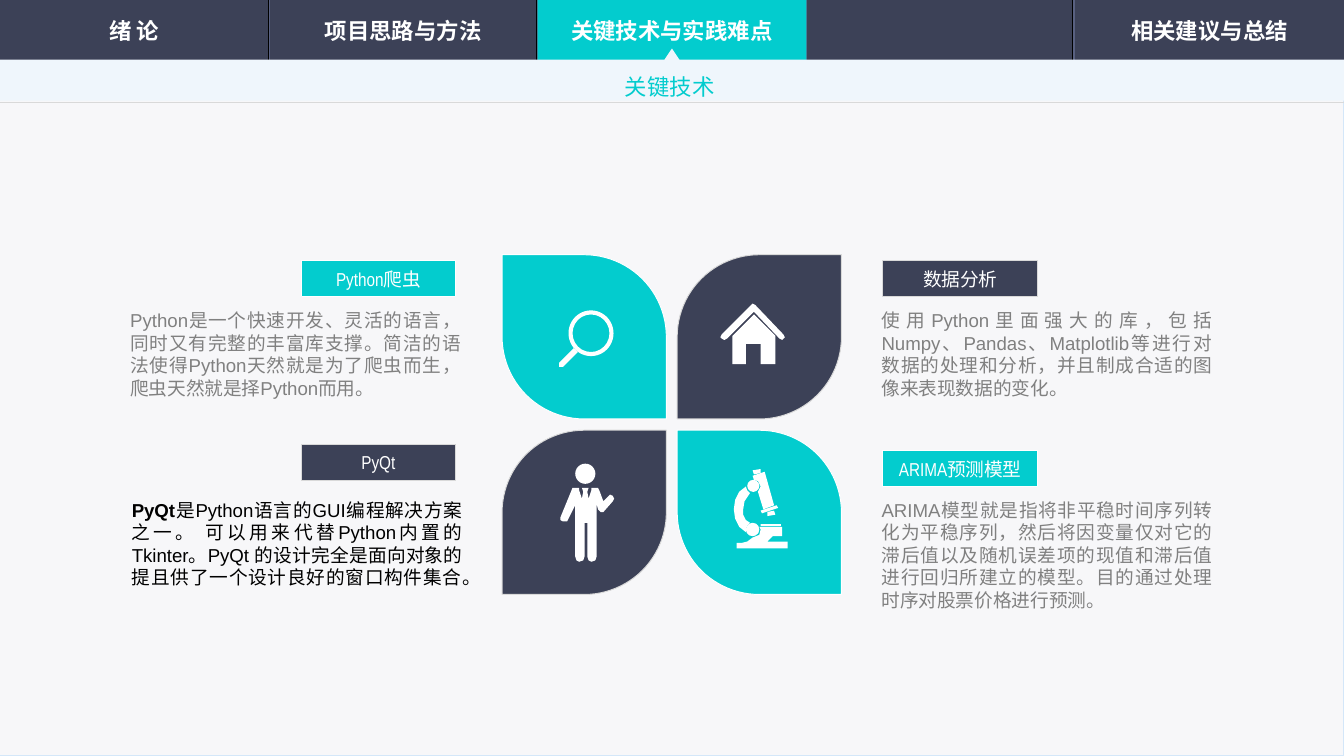
from lxml import etree
from pptx import Presentation
from pptx.dml.color import RGBColor
from pptx.enum.lang import MSO_LANGUAGE_ID
from pptx.enum.shapes import MSO_CONNECTOR, MSO_SHAPE
from pptx.enum.text import MSO_ANCHOR, MSO_AUTO_SIZE, PP_ALIGN
from pptx.oxml.ns import qn
from pptx.util import Pt

RECT, OVAL, RING = MSO_SHAPE.RECTANGLE, MSO_SHAPE.OVAL, MSO_SHAPE.DONUT
PETAL = MSO_SHAPE.ROUND_2_DIAG_RECTANGLE
LEFT, CENTER, JUSTIFY = PP_ALIGN.LEFT, PP_ALIGN.CENTER, PP_ALIGN.JUSTIFY
MIDDLE, TOP = MSO_ANCHOR.MIDDLE, MSO_ANCHOR.TOP
CHINESE = MSO_LANGUAGE_ID.SIMPLIFIED_CHINESE
TEAL, NAVY, WHITE, GREY, BORDER = "03CCCE", "3C4157", "FFFFFF", "808080", "D9D9D9"
CJK = "Noto Sans CJK SC"
ICON_UNIT = 0.72  # points per unit of the icon grid


def paint(shape, fill=None, line=None):
    shape.shadow.inherit = False
    if fill:
        shape.fill.solid()
        shape.fill.fore_color.rgb = RGBColor.from_string(fill)
    else:
        shape.fill.background()
    if line:
        shape.line.color.rgb = RGBColor.from_string(line)
        shape.line.width = Pt(0.5)
    else:
        shape.line.fill.background()


def write(shape, runs, size, color, font, align, anchor=MIDDLE):
    frame = shape.text_frame
    frame.word_wrap = True
    frame.vertical_anchor = anchor
    paragraph = frame.paragraphs[0]
    paragraph.alignment = align
    for text, bold in runs:
        run = paragraph.add_run()
        run.text = text
        run.font.size = Pt(size)
        run.font.bold = bold
        run.font.name = font
        run.font.language_id = CHINESE
        run.font.color.rgb = RGBColor.from_string(color)
        etree.SubElement(run.font._element, qn("a:ea"), typeface=CJK)


prs = Presentation()
prs.slide_width, prs.slide_height = Pt(720), Pt(405)
slide = prs.slides.add_slide(prs.slide_layouts[5])
shapes = slide.shapes

# Navigation bar, page panel and active tab
BAR_HEIGHT, TAB_WIDTH = 32.4, 144
dividers = []
for k in range(1, 5):
    x = 143.6 * k
    dividers += [(x, 0, x, BAR_HEIGHT, "000000", 0.5),
                 (x + 0.9, 0, x + 0.9, BAR_HEIGHT, "596181", 0.75)]
for left, top, width, height, fill, line in [
    (0, 0, 720, BAR_HEIGHT, NAVY, None),
    (0, BAR_HEIGHT, 720, 405 - BAR_HEIGHT, "F7F7F9", "D4E7F9"),
]:
    paint(shapes.add_shape(RECT, Pt(left), Pt(top), Pt(width), Pt(height)), fill, line)
for x1, y1, x2, y2, color, weight in dividers + [(0, 54.7, 720, 54.7, BORDER, 0.5)]:
    rule = shapes.add_connector(MSO_CONNECTOR.STRAIGHT, Pt(x1), Pt(y1), Pt(x2), Pt(y2))
    rule.line.color.rgb = RGBColor.from_string(color)
    rule.line.width = Pt(weight)
    etree.SubElement(rule._element.spPr, qn("a:effectLst"))
active_tab = shapes.add_shape(RECT, Pt(2 * TAB_WIDTH), 0, Pt(TAB_WIDTH), Pt(BAR_HEIGHT))
paint(active_tab, TEAL)

# Section strip with its pointer into the active tab
strip = shapes.build_freeform(360, 26, scale=Pt(1))
strip.add_line_segments([(364, 32.4), (720, 32.4), (720, 54.4),
                         (0, 54.4), (0, 32.4), (356, 32.4)])
paint(strip.convert_to_shape(), "EFF6FC")

for column, tab_name in [(0, "绪 论"), (1, "项目思路与方法"),
                         (2, "关键技术与实践难点"), (4, "相关建议与总结")]:
    tab = shapes.add_shape(RECT, Pt(TAB_WIDTH * column), Pt(5), Pt(TAB_WIDTH), Pt(22.3))
    paint(tab)
    write(tab, [(tab_name, True)], 12, WHITE, CJK, CENTER)

# Section title, brought in front of the strip
title = shapes.title
title.left, title.top, title.width, title.height = Pt(327.6), Pt(29.5), Pt(63.4), Pt(26.6)
write(title, [("关键技术", False)], 12, TEAL, CJK, LEFT)
title.text_frame.word_wrap = False
title.text_frame.auto_size = MSO_AUTO_SIZE.NONE
title.text_frame.paragraphs[0].line_spacing = 1.5
shapes._spTree.append(title._element)

# Four petals
for row in range(2):
    for column in range(2):
        petal = shapes.add_shape(PETAL, Pt(269 + 93.8 * column), Pt(136.5 + 94 * row),
                                 Pt(88), Pt(88))
        on_diagonal = row == column
        petal.adjustments[0] = 0 if on_diagonal else 0.5
        petal.adjustments[1] = 0.5 if on_diagonal else 0
        paint(petal, TEAL if on_diagonal else NAVY, WHITE if on_diagonal else BORDER)

# Topics: label corner, text corner, colours, label, runs
topics = [
    (161.3, 139.7, 69.8, 165.6, TEAL, WHITE, GREY, "Python爬虫",
     [("Python是一个快速开发、灵活的语言，同时又有完整的丰富库支撑。简洁的语法使得Python"
       "天然就是为了爬虫而生，爬虫天然就是择Python而用。", False)]),
    (473, 139.7, 472.3, 165.6, NAVY, BORDER, GREY, "数据分析",
     [("使用Python里面强大的库，包括Numpy、Pandas、Matplotlib等进行对数据的处理和分析，"
       "并且制成合适的图像来表现数据的变化。", False)]),
    (161.3, 238, 70.6, 267.1, NAVY, BORDER, "000000", "PyQt",
     [("PyQt", True),
      ("是Python语言的GUI编程解决方案之一。 可以用来代替Python内置的Tkinter。"
       "PyQt 的设计完全是面向对象的提且供了一个设计良好的窗口构件集合。", False)]),
    (473, 241.5, 472.3, 267.1, TEAL, WHITE, GREY, "ARIMA预测模型",
     [("ARIMA模型就是指将非平稳时间序列转化为平稳序列，然后将因变量仅对它的滞后值以及"
       "随机误差项的现值和滞后值进行回归所建立的模型。目的通过处理时序对股票价格进行预测。", False)]),
]
for label_x, label_y, text_x, text_y, fill, line, ink, topic, runs in topics:
    label = shapes.add_shape(RECT, Pt(label_x), Pt(label_y), Pt(82.8), Pt(19.2))
    paint(label, fill, line)
    write(label, [(topic, False)], 10, WHITE, "Arial Narrow", CENTER)
    description = shapes.add_textbox(Pt(text_x), Pt(text_y), Pt(177.1), Pt(60))
    frame = description.text_frame
    frame.margin_left = frame.margin_right = frame.margin_top = frame.margin_bottom = 0
    write(description, runs, 10, ink, "Arial", JUSTIFY, TOP)

# Icon outlines, on the icon grid
icon_outlines = [
    # Magnifier handle
    [(427, 259), (416, 270), (416, 273), (419, 273), (430, 262)],
    # House walls and roof
    [(561, 234), (577, 250), (577, 271), (566, 271), (566, 256), (555, 256),
     (555, 271), (545, 271), (545, 250)],
    [(582, 253), (580, 252), (561, 232), (541, 252), (539, 253), (537, 252), (536, 251),
     (537, 249), (559, 227), (560.5, 226), (562, 227), (583, 249), (584, 251), (583, 252)],
    # Person's body
    [(456, 369), (454, 368), (453, 369), (449, 373), (446, 365), (445, 363), (440, 363),
     (440, 365), (438, 371), (437, 366), (438, 363), (433, 363), (434, 366), (433, 371),
     (431, 365), (431, 363), (426, 363), (424, 368), (417, 385), (417, 387), (419, 388),
     (422, 388), (423, 386), (428, 376), (428, 414), (429, 417), (431, 418), (434, 417),
     (435, 414), (435, 389), (437, 389), (437, 414), (438, 417), (440, 418), (443, 417),
     (444, 414), (444, 375), (445, 379), (447, 381), (449, 381), (456, 373), (457, 371)],
    # Microscope: lens ring, lens, eyepiece, tube, arm, base
    [(579, 378), (567, 382), (566, 380), (578, 376)],
    [(571, 381), (571, 384), (577, 383), (576, 380)],
    [(560, 350), (561, 353), (566, 352), (566, 349)],
    [(569, 351), (560, 354), (561, 357), (564, 358), (566, 362), (564, 366),
     (568, 379), (576, 376)],
    [(555, 396), (555, 394), (556, 391), (558, 389), (555, 387), (553, 383), (553, 379),
     (554, 373), (558, 367), (556, 365), (555, 362), (550, 366), (547, 372), (546, 379),
     (547, 386), (550, 392)],
    [(571, 403), (575, 399), (582, 399), (582, 392), (565, 392), (566, 394), (565, 398),
     (560, 400), (556, 403), (552, 404), (548, 404), (548, 408), (586, 408), (586, 403)],
]
for start, *others in icon_outlines:
    outline = shapes.build_freeform(*start, scale=Pt(ICON_UNIT))
    outline.add_line_segments(others)
    paint(outline.convert_to_shape(), WHITE)

# Round and straight icon parts: magnifier, head, microscope joints and stage
for kind, left, top, width, height in [
    (RING, 423, 231, 33.5, 34), (OVAL, 428, 345, 15, 15),
    (OVAL, 556, 357, 9, 9), (OVAL, 555, 389, 10, 10), (RECT, 566, 390, 15, 1.5),
]:
    part = shapes.add_shape(kind, Pt(left * ICON_UNIT), Pt(top * ICON_UNIT),
                            Pt(width * ICON_UNIT), Pt(height * ICON_UNIT))
    if kind == RING:
        part.adjustments[0] = 0.09
    paint(part, WHITE)

prs.save("out.pptx")
